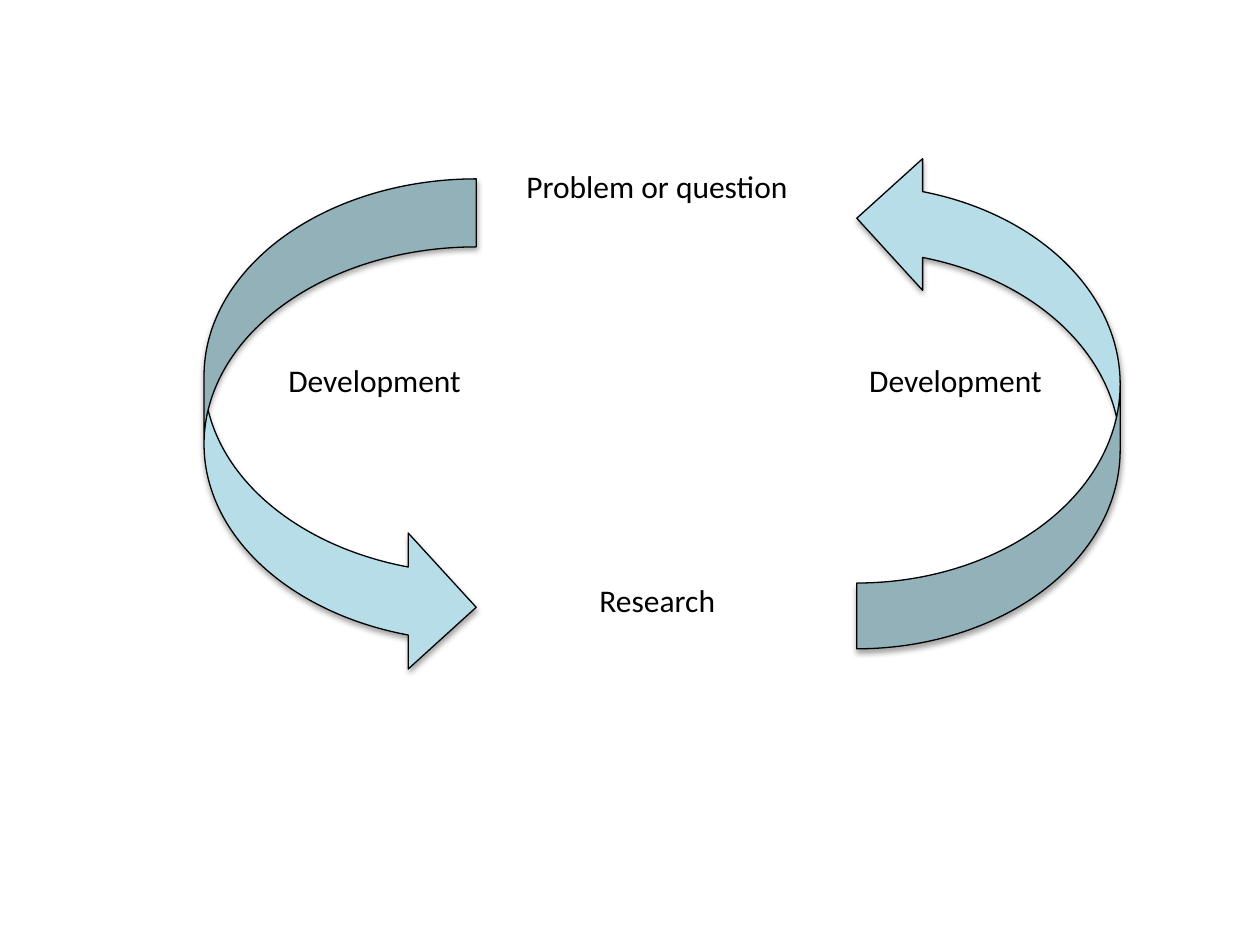
from lxml import etree
from pptx import Presentation
from pptx.dml.color import RGBColor
from pptx.enum.shapes import MSO_SHAPE
from pptx.enum.text import MSO_AUTO_SIZE
from pptx.oxml import parse_xml
from pptx.oxml.ns import nsdecls, qn
from pptx.util import Inches, Pt

BLACK = RGBColor(0x00, 0x00, 0x00)
LIGHT_BLUE = RGBColor(0xB7, 0xDE, 0xE8)
LABEL_FONT = {"name": "Calibri", "size": Pt(18)}
SHADOW = (
    f'<a:outerShdw {nsdecls("a")} blurRad="40000" dist="23000" dir="5400000" '
    'rotWithShape="0"><a:srgbClr val="000000"><a:alpha val="35000"/>'
    "</a:srgbClr></a:outerShdw>"
)

prs = Presentation()
prs.slide_width, prs.slide_height = Inches(10), Inches(7.5)
s = prs.slides.add_slide(prs.slide_layouts[6])

# Curved arrows: left, top, width, flip
for left, top, width, flip in [
    (6.8, 1.21, 2.09, "flipV"),
    (1.62, 1.42, 2.16, "flipH"),
]:
    sp = s.shapes.add_shape(
        MSO_SHAPE.CURVED_LEFT_ARROW,
        Inches(left), Inches(top), Inches(width), Inches(3.94),
    )
    sp.fill.solid()
    sp.fill.fore_color.rgb = LIGHT_BLUE
    sp.line.color.rgb = BLACK
    sp.line.width = Pt(0.75)
    sp.shadow.inherit = False
    spPr = sp._element.spPr
    spPr.find(qn("a:xfrm")).set(flip, "1")
    spPr.find(qn("a:effectLst")).append(parse_xml(SHADOW))

# Stage labels: text, left, top, width
for text, left, top, width in [
    ("Problem or question", 4.08, 1.28, 2.3),
    ("Development", 2.19, 2.82, 1.59),
    ("Development", 6.8, 2.82, 1.59),
    ("Research", 4.66, 4.56, 1.14),
]:
    sp = s.shapes.add_textbox(Inches(left), Inches(top), Inches(width), Inches(0.4))
    tf = sp.text_frame
    tf.word_wrap = False
    tf.auto_size = MSO_AUTO_SIZE.SHAPE_TO_FIT_TEXT
    r = tf.paragraphs[0].add_run()
    r.text = text
    for name, value in LABEL_FONT.items():
        setattr(r.font, name, value)
    r.font.color.rgb = BLACK

prs.save("out.pptx")
